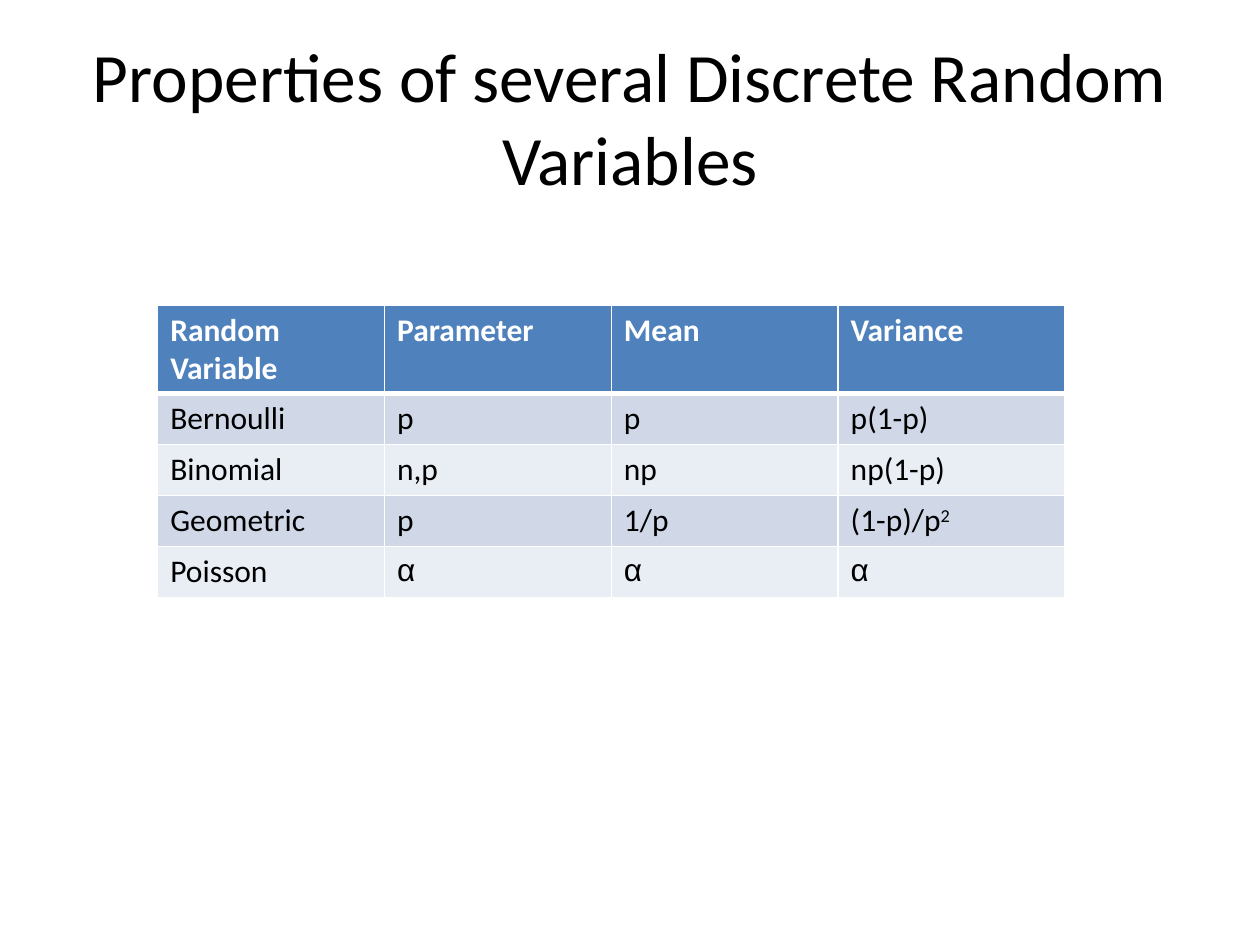
from dataclasses import dataclass

from lxml import etree
from pptx import Presentation
from pptx.dml.color import RGBColor
from pptx.enum import text
from pptx.oxml.ns import qn
from pptx.util import Cm, Pt


@dataclass(frozen=True)
class Theme:
    font: str = "Calibri"
    greek_font: str = "Arial"
    title_size: float = 39.6
    table_size: float = 18
    ink: str = "000000"
    paper: str = "FFFFFF"
    header: str = "4F81BD"
    bands: tuple = ("D0D8E8", "E9EDF4")
    rule: float = 1
    header_rule: float = 3


theme = Theme()


def add_run(paragraph, words, size, color, bold=False, font=theme.font):
    run = paragraph.add_run()
    run.text = words
    for attribute, value in {"name": font, "size": Pt(size), "bold": bold}.items():
        setattr(run.font, attribute, value)
    run.font.color.rgb = RGBColor.from_string(color)
    return run


def set_borders(cell, widths):
    """Draw cell edges, given as a dict from side (L, R, T, B) to points."""
    properties = cell._tc.get_or_add_tcPr()
    for position, (side, width) in enumerate(widths.items()):
        line = etree.Element(qn(f"a:ln{side}"), w=str(Pt(width)))
        fill = etree.SubElement(line, qn("a:solidFill"))
        etree.SubElement(fill, qn("a:srgbClr"), val=theme.paper)
        properties.insert(position, line)


deck = Presentation()
deck.slide_width, deck.slide_height = Cm(25.4), Cm(19.05)
slide = deck.slides.add_slide(deck.slide_layouts[6])

title = slide.shapes.add_textbox(Cm(1.27), Cm(0.76), Cm(22.86), Cm(3.18)).text_frame
for attribute, value in {
    "word_wrap": True,
    "vertical_anchor": text.MSO_ANCHOR.MIDDLE,
}.items():
    setattr(title, attribute, value)
heading = title.paragraphs[0]
heading.alignment = text.PP_ALIGN.CENTER
add_run(heading, "Properties of several Discrete Random Variables",
        theme.title_size, theme.ink)

# A caret marks the start of a superscript.
distributions = [
    ("Random Variable", "Parameter", "Mean", "Variance"),
    ("Bernoulli", "p", "p", "p(1-p)"),
    ("Binomial", "n,p", "np", "np(1-p)"),
    ("Geometric", "p", "1/p", "(1-p)/p^2"),
    ("Poisson", "α", "α", "α"),
]
row_height = Cm(1.03)
table = slide.shapes.add_table(
    len(distributions), len(distributions[0]),
    Cm(3.18), Cm(6.15), Cm(18.29), row_height * len(distributions),
).table

for row, entries in enumerate(distributions):
    table.rows[row].height = row_height
    is_header = row == 0
    background = theme.header if is_header else theme.bands[(row - 1) % 2]
    color = theme.paper if is_header else theme.ink
    edges = {
        "L": theme.rule,
        "R": theme.rule,
        "T": theme.header_rule if row == 1 else theme.rule,
        "B": theme.header_rule if is_header else theme.rule,
    }
    for column, entry in enumerate(entries):
        cell = table.cell(row, column)
        cell.fill.solid()
        cell.fill.fore_color.rgb = RGBColor.from_string(background)
        set_borders(cell, edges)
        base, _, exponent = entry.partition("^")
        paragraph = cell.text_frame.paragraphs[0]
        font = theme.greek_font if entry == "α" else theme.font
        add_run(paragraph, base, theme.table_size, color, is_header, font)
        if exponent:
            power = add_run(paragraph, exponent, theme.table_size, color)
            power.font._element.set("baseline", "30000")

deck.save("out.pptx")
